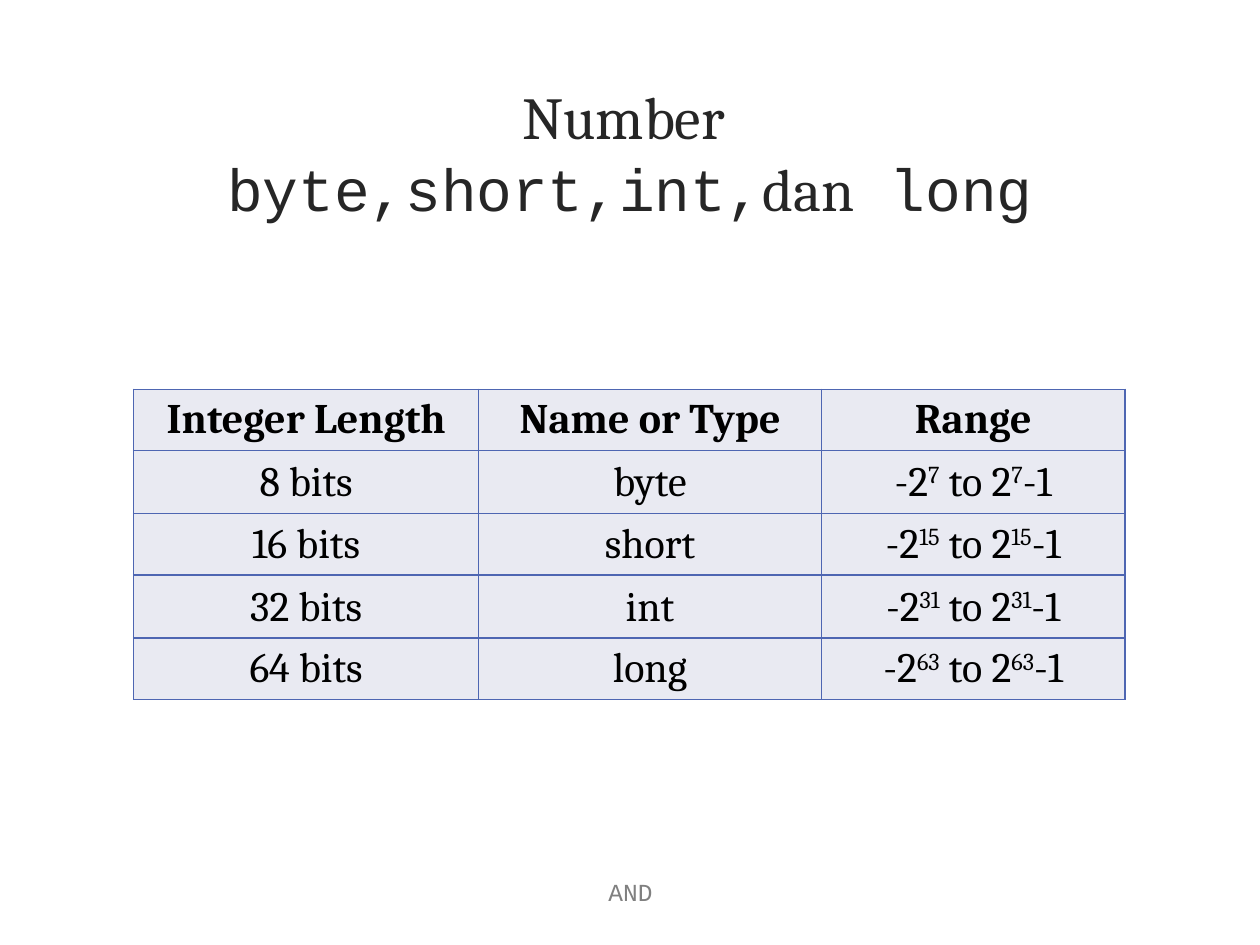
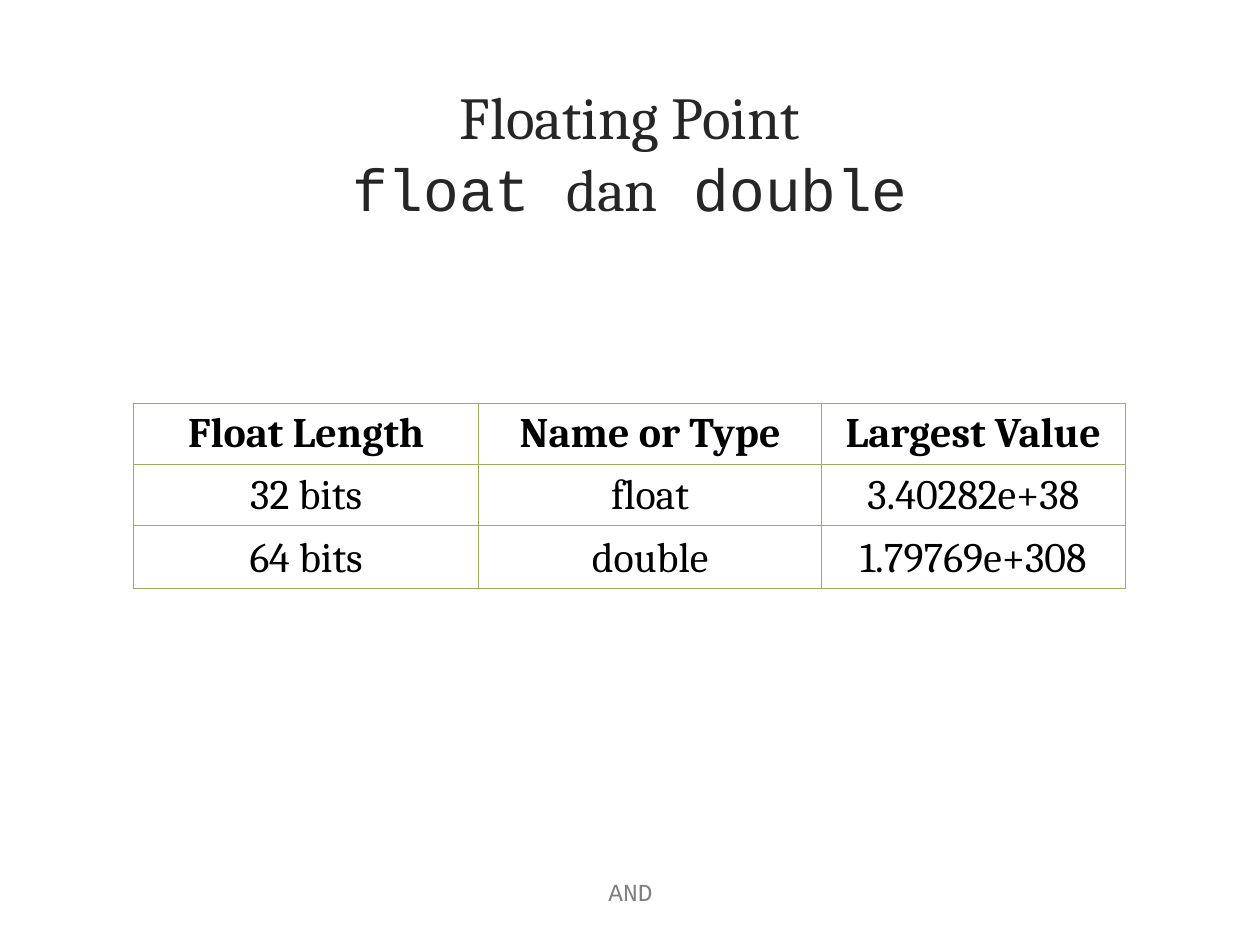
from lxml import etree
from pptx import Presentation
from pptx import util as u
from pptx.dml.color import RGBColor
from pptx.enum import text
from pptx.oxml.ns import qn

COLORS = {"title": "262626", "body": "000000", "footer": "808080",
          "blue": "4E66B2", "pale": "E9EAF2", "green": "9BB05E"}
SERIF, MONO = "Cambria", "Courier New"
COL_WIDTHS = [2.74, 2.72, 2.41]


def style_run(r, size, font, color, bold=False):
    r.font.size = u.Pt(size)
    r.font.name = font
    r.font.color.rgb = RGBColor.from_string(COLORS[color])
    r.font.bold = bold


def add_borders(cell, color, width):
    tc_pr = cell._tc.get_or_add_tcPr()
    for i, side in enumerate(("lnL", "lnR", "lnT", "lnB")):
        ln = etree.Element(qn(f"a:{side}"), w=str(u.Pt(width)))
        fill = etree.SubElement(ln, qn("a:solidFill"))
        etree.SubElement(fill, qn("a:srgbClr"), val=COLORS[color])
        tc_pr.insert(i, ln)


# Text between carets is superscript
integer_rows = [["Integer Length", "Name or Type", "Range"]]
for bits, name in ((8, "byte"), (16, "short"), (32, "int"), (64, "long")):
    n = bits - 1
    integer_rows.append([f"{bits} bits", name, f"-2^{n}^ to 2^{n}^-1"])

float_rows = [["Float Length", "Name or Type", "Largest Value"],
              ["32 bits", "float", "3.40282e+38"],
              ["64 bits", "double", "1.79769e+308"]]

slides = [
    {"heading": "Number ",
     "types": [("byte,short,int,", MONO), ("dan", SERIF), (" long", MONO)],
     "rows": integer_rows, "top": 3.09, "height": 2.5,
     "row_heights": [0.42, 0.5, 0.49, 0.5, 0.49],
     "border": ("blue", 1), "fill": "pale", "hanging": 0.51},
    {"heading": "Floating Point",
     "types": [("float ", MONO), ("dan", SERIF), (" double", MONO)],
     "rows": float_rows, "top": 3.2, "height": 1.5,
     "row_heights": [0.46, 0.49, 0.5],
     "border": ("green", 0.75), "fill": None, "hanging": 0},
]

prs = Presentation()
prs.slide_width, prs.slide_height = u.Inches(10), u.Inches(7.5)

for data in slides:
    s = prs.slides.add_slide(prs.slide_layouts[5])

    # Title
    title = s.shapes.title
    title.left, title.top = u.Inches(0.5), u.Inches(0.58)
    title.width, title.height = u.Inches(9), u.Inches(1.25)
    tf = title.text_frame
    tf.auto_size = text.MSO_AUTO_SIZE.NONE
    tf.vertical_anchor = text.MSO_ANCHOR.MIDDLE
    p = tf.paragraphs[0]
    p.alignment = text.PP_ALIGN.CENTER
    p.text = data["heading"]
    style_run(p.runs[0], 34, SERIF, "title")
    p.add_line_break()
    etree.SubElement(p._p.find(qn("a:br")), qn("a:rPr"), sz="3400")
    for words, font in data["types"]:
        r = p.add_run()
        r.text = words
        style_run(r, 34, font, "title")

    # Table
    rows = data["rows"]
    table = s.shapes.add_table(
        len(rows), len(COL_WIDTHS), u.Inches(1.06), u.Inches(data["top"]),
        u.Inches(7.88), u.Inches(data["height"])).table
    table.first_row = table.horz_banding = False
    for col, width in zip(table.columns, COL_WIDTHS):
        col.width = u.Inches(width)
    for row, height in zip(table.rows, data["row_heights"]):
        row.height = u.Inches(height)
    for i, values in enumerate(rows):
        for j, value in enumerate(values):
            cell = table.cell(i, j)
            cell.vertical_anchor = text.MSO_ANCHOR.BOTTOM
            if data["fill"]:
                cell.fill.solid()
                cell.fill.fore_color.rgb = RGBColor.from_string(COLORS[data["fill"]])
            else:
                cell.fill.background()
            add_borders(cell, *data["border"])
            p = cell.text_frame.paragraphs[0]
            p.alignment = text.PP_ALIGN.CENTER
            if data["hanging"]:
                p_pr = p._p.get_or_add_pPr()
                p_pr.set("marL", str(u.Inches(data["hanging"])))
                p_pr.set("indent", str(-u.Inches(data["hanging"])))
            for k, piece in enumerate(value.split("^")):
                r = p.add_run()
                r.text = piece
                style_run(r, 24, SERIF, "body", bold=i == 0)
                if k % 2:
                    r._r.get_or_add_rPr().set("baseline", "30000")

    # Footer
    footer = s.shapes.add_textbox(u.Inches(3.42), u.Inches(6.83),
                                  u.Inches(3.17), u.Inches(0.5))
    tf = footer.text_frame
    tf.word_wrap = True
    tf.vertical_anchor = text.MSO_ANCHOR.MIDDLE
    tf.text = "AND"
    p = tf.paragraphs[0]
    p.alignment = text.PP_ALIGN.CENTER
    style_run(p.runs[0], 14, MONO, "footer")

prs.save("out.pptx")
